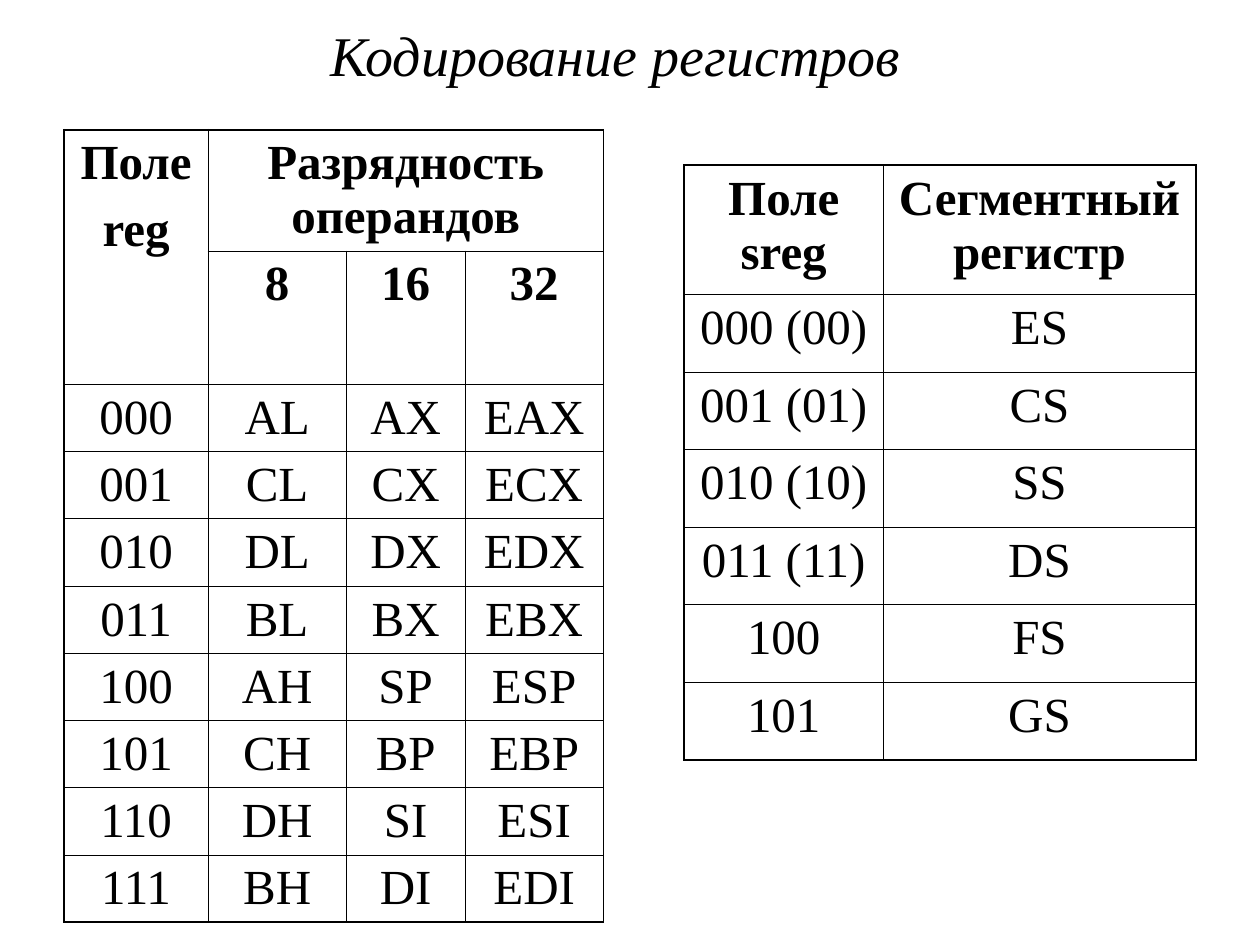
from dataclasses import dataclass

from lxml.etree import SubElement
from pptx import Presentation
from pptx.dml.color import RGBColor
from pptx.enum.text import MSO_ANCHOR, PP_ALIGN
from pptx.oxml.ns import qn
from pptx.util import Inches, Pt

PLAIN_TABLE_STYLE = "{2D5ABB26-0587-4C30-8999-92F81FD0307C}"


@dataclass(frozen=True)
class Theme:
    font: str = "Times New Roman"
    ink: str = "000000"
    paper: str = "FFFFFF"
    title_size: float = 32
    table_size: float = 28
    paragraph_gap: float = 7
    inner_line: float = 0.45
    outer_line: float = 1.08


def write_text(frame, text, *, theme, size, bold=False, italic=False):
    """Fill a text frame with centred text, one paragraph per line."""
    frame.word_wrap = True
    for index, line in enumerate(text.split("\n")):
        paragraph = frame.add_paragraph() if index else frame.paragraphs[0]
        paragraph.alignment = PP_ALIGN.CENTER
        paragraph.space_before = Pt(theme.paragraph_gap if index else 0)
        run = paragraph.add_run()
        run.text = line
        run.font.name = theme.font
        run.font.size = Pt(size)
        run.font.bold = bold
        run.font.italic = italic
        run.font.color.rgb = RGBColor.from_string(theme.ink)


class SlideBuilder:
    def __init__(self, slide, theme):
        self.slide = slide
        self.theme = theme
        background = slide.background.fill
        background.solid()
        background.fore_color.rgb = RGBColor.from_string(theme.paper)

    def title(self, text, left, top, width, height):
        heading = self.slide.shapes.title
        heading.left, heading.top = Inches(left), Inches(top)
        heading.width, heading.height = Inches(width), Inches(height)
        heading.text_frame.vertical_anchor = MSO_ANCHOR.MIDDLE
        write_text(heading.text_frame, text, theme=self.theme,
                   size=self.theme.title_size, italic=True)

    def table(self, rows, left, top, height, columns, header_heights, merges=()):
        """Header rows have set heights; body rows share the rest equally."""
        header_count = len(header_heights)
        body_count = len(rows) - header_count
        body_height = (height - sum(header_heights)) / body_count
        table = self.slide.shapes.add_table(
            len(rows), len(columns), Inches(left), Inches(top),
            Inches(sum(columns)), Inches(height)).table
        table.first_row = table.horz_banding = False
        table._tbl.tblPr.find(qn("a:tableStyleId")).text = PLAIN_TABLE_STYLE

        for column, width in zip(table.columns, columns):
            column.width = Inches(width)
        row_heights = [*header_heights, *[body_height] * body_count]
        for row, row_height in zip(table.rows, row_heights):
            row.height = Inches(row_height)
        for first, last in merges:
            table.cell(*first).merge(table.cell(*last))

        for r, texts in enumerate(rows):
            for c, text in enumerate(texts):
                cell = table.cell(r, c)
                outer_sides = {
                    "L": c == 0,
                    "R": c + cell.span_width == len(columns),
                    "T": r == 0,
                    "B": r + cell.span_height == len(rows),
                }
                self.borders(cell, outer_sides)
                cell.fill.background()
                if text:
                    write_text(cell.text_frame, text, theme=self.theme,
                               size=self.theme.table_size, bold=r < header_count)

    def borders(self, cell, outer_sides):
        properties = cell._tc.get_or_add_tcPr()
        for side, is_outer in outer_sides.items():
            points = self.theme.outer_line if is_outer else self.theme.inner_line
            line = SubElement(properties, qn(f"a:ln{side}"), w=str(Pt(points)))
            fill = SubElement(line, qn("a:solidFill"))
            SubElement(fill, qn("a:srgbClr"), val=self.theme.ink)


def main():
    presentation = Presentation()
    presentation.slide_width, presentation.slide_height = Inches(10), Inches(7.5)
    title_only = presentation.slide_layouts[5]
    builder = SlideBuilder(presentation.slides.add_slide(title_only), Theme())

    builder.title("Кодирование регистров", 0.12, 0.05, 9.53, 0.76)

    # General registers by operand size
    general_registers = [
        ("Поле\nreg", "Разрядность операндов", "", ""),
        ("", "8", "16", "32"),
        ("000", "AL", "AX", "EAX"),
        ("001", "CL", "CX", "ECX"),
        ("010", "DL", "DX", "EDX"),
        ("011", "BL", "BX", "EBX"),
        ("100", "AH", "SP", "ESP"),
        ("101", "CH", "BP", "EBP"),
        ("110", "DH", "SI", "ESI"),
        ("111", "BH", "DI", "EDI"),
    ]
    builder.table(general_registers, left=0.51, top=1.03, height=6.29,
                  columns=(1.14, 1.1, 0.94, 1.1), header_heights=(0.96, 1.06),
                  merges=[((0, 0), (1, 0)), ((0, 1), (0, 3))])

    # Segment registers
    segment_registers = [
        ("Поле sreg", "Сегментный регистр"),
        ("000 (00)", "ES"),
        ("001 (01)", "CS"),
        ("010 (10)", "SS"),
        ("011 (11)", "DS"),
        ("100", "FS"),
        ("101", "GS"),
    ]
    builder.table(segment_registers, left=5.43, top=1.31, height=4.72,
                  columns=(1.58, 2.48), header_heights=(1.03,))

    presentation.save("out.pptx")


if __name__ == "__main__":
    main()
